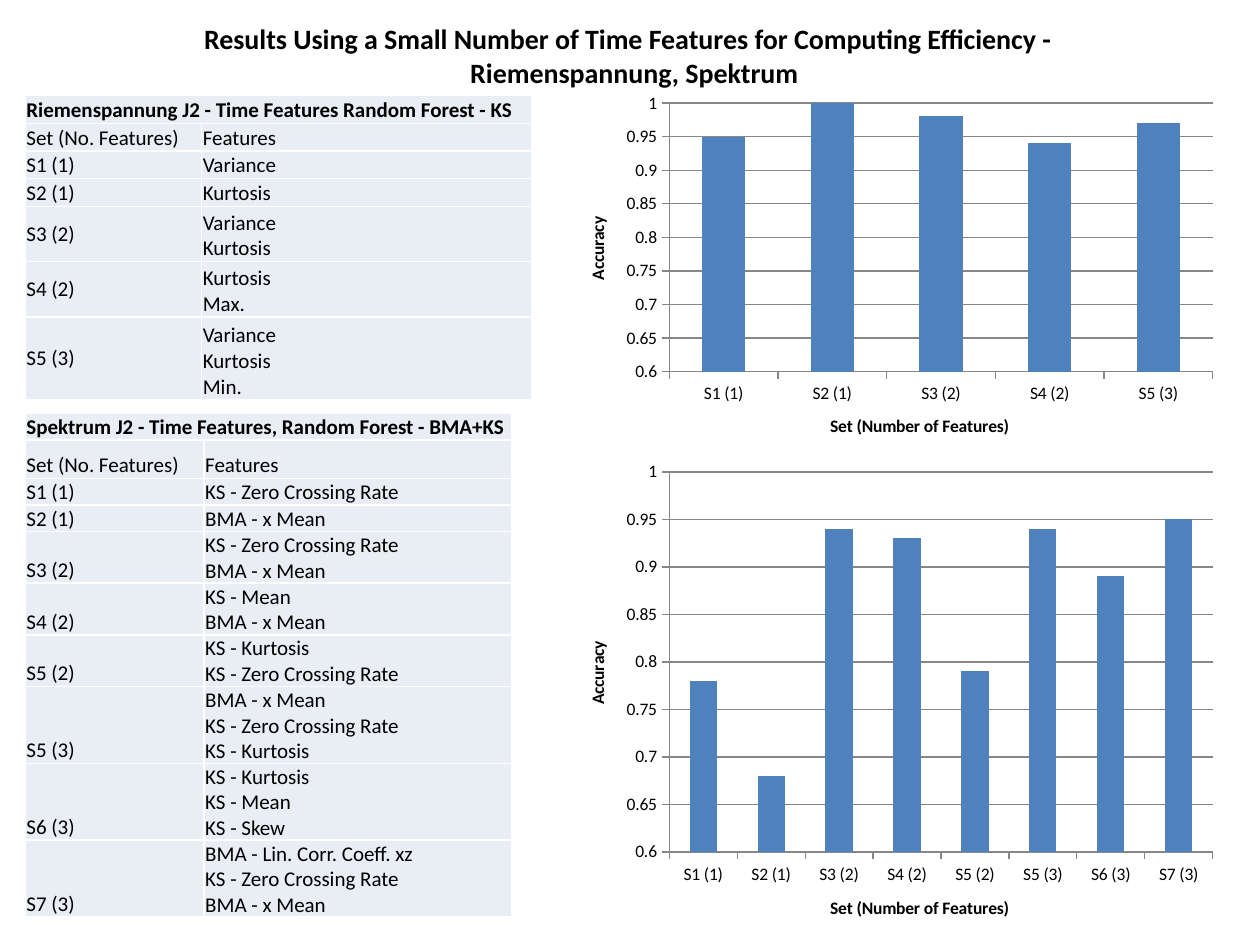
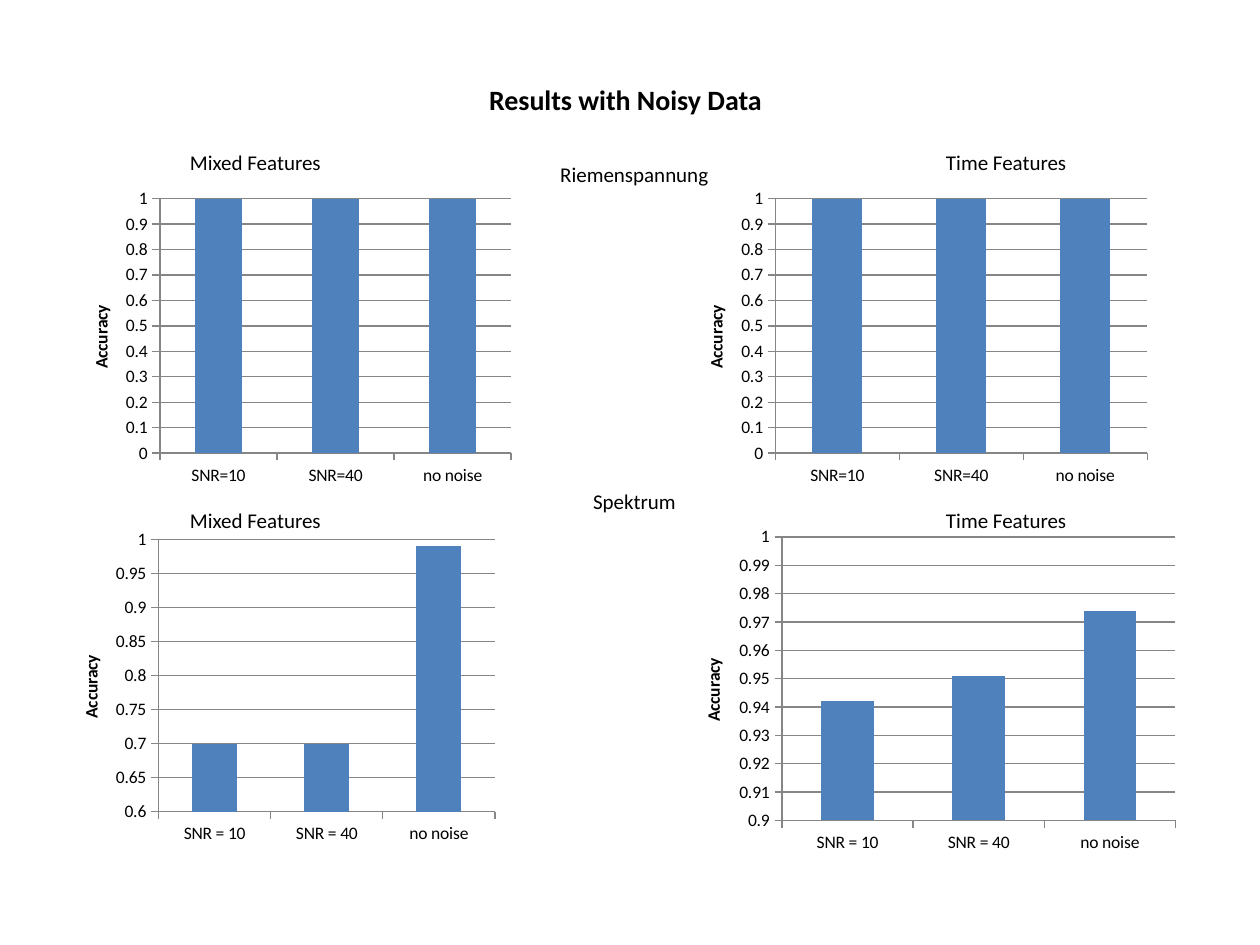
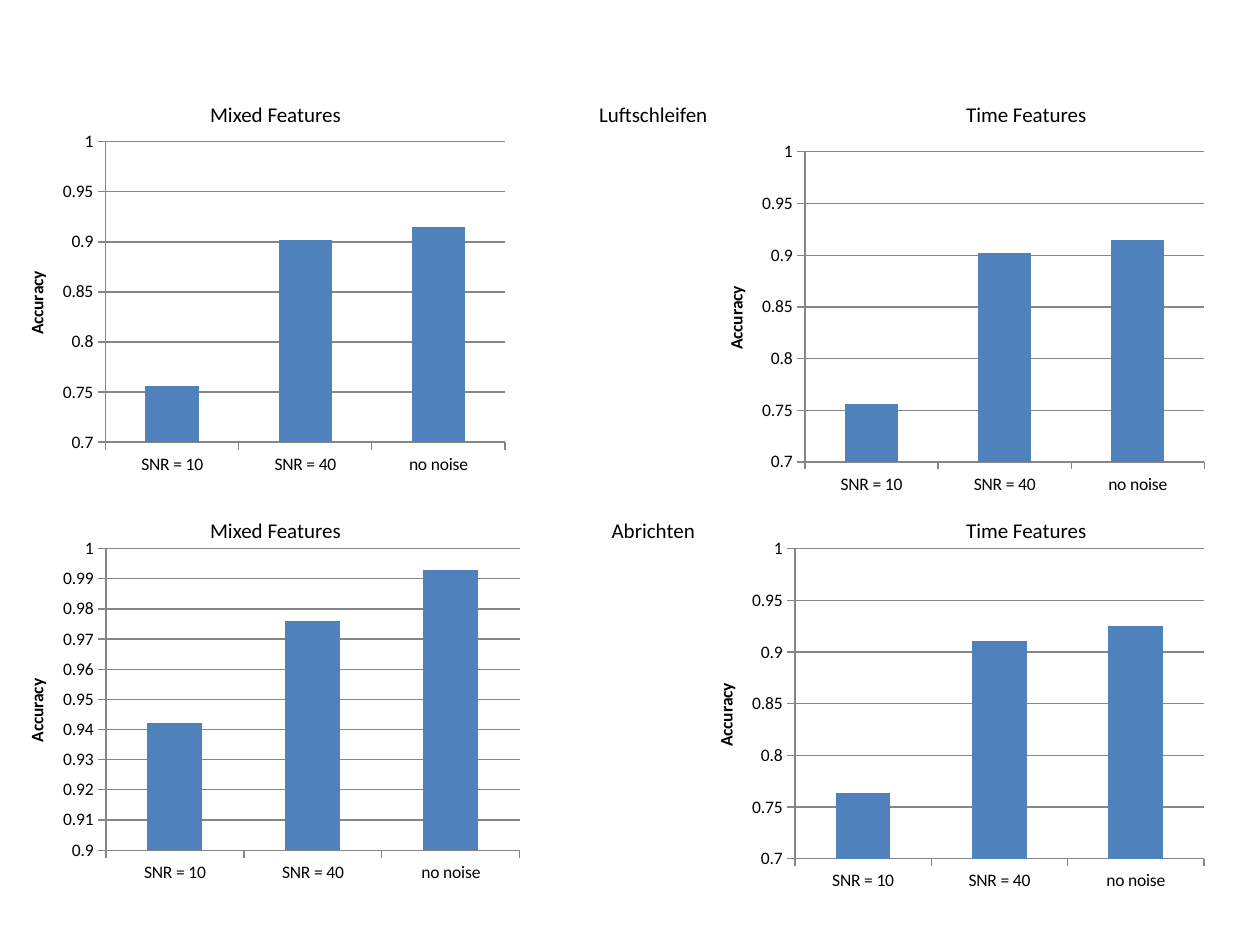
from dataclasses import dataclass
from typing import NamedTuple

import lxml.etree
import pptx
import pptx.chart.data
import pptx.dml.color
import pptx.enum.chart
import pptx.enum.text
import pptx.oxml
import pptx.oxml.ns
import pptx.util

Pt = pptx.util.Pt
RGB = pptx.dml.color.RGBColor
Align = pptx.enum.text.PP_ALIGN
Anchor = pptx.enum.text.MSO_ANCHOR
Tick = pptx.enum.chart.XL_TICK_MARK
qn = pptx.oxml.ns.qn


@dataclass(frozen=True)
class Theme:
    face: str = "Calibri"
    ink: RGB = RGB(0, 0, 0)
    bar: RGB = RGB(0x4F, 0x81, 0xBD)
    rule: RGB = RGB(0x86, 0x86, 0x86)
    cell: RGB = RGB(0xE9, 0xED, 0xF4)
    edge: RGB = RGB(0xFF, 0xFF, 0xFF)
    title: float = 16
    body: float = 12
    axis: float = 10


THEME = Theme()


class Box(NamedTuple):
    left: float
    top: float
    width: float
    height: float

    def points(self) -> list:
        return [Pt(side) for side in self]


@dataclass
class Grid:
    left: float
    top: float
    cols: tuple
    line: float
    head: str
    rows: list
    tall: tuple
    anchor: object


@dataclass
class Plot:
    box: Box
    low: float
    step: float
    cats: list
    vals: list
    base: str = ""


@dataclass
class Band:
    name: str
    width: float
    mid: float
    top: float
    left: float
    row: float


def style(font, size: float, bold: bool = False) -> None:
    font.name = THEME.face
    font.size = Pt(size)
    font.bold = bold
    font.color.rgb = THEME.ink


def add_text(slide, box: Box, text: str, size: float = THEME.body, bold: bool = False,
             align=Align.CENTER, anchor=Anchor.TOP, wrap: bool = True, tab: float = 0) -> None:
    frame = slide.shapes.add_textbox(*box.points()).text_frame
    frame.word_wrap = wrap
    frame.vertical_anchor = anchor
    para = frame.paragraphs[0]
    para.text = text
    para.alignment = align
    if tab:
        stops = lxml.etree.SubElement(para._p.get_or_add_pPr(), qn("a:tabLst"))
        lxml.etree.SubElement(stops, qn("a:tab"), pos=str(Pt(tab)), algn="l")
    style(para.font, size, bold)


def add_title(slide, box: Box, text: str) -> None:
    add_text(slide, box, text, THEME.title, True, anchor=Anchor.MIDDLE)


def add_band(slide, band: Band) -> None:
    add_text(slide, Box(band.mid - band.width / 2, band.top, band.width, 21.6), band.name, wrap=False)
    add_text(slide, Box(band.left, band.row, 520.6, 21.6), "Mixed Features\tTime Features",
             align=Align.LEFT, tab=432)


def fill_cell(cell, text: str, anchor, bold: bool) -> None:
    cell.margin_left = cell.margin_right = cell.margin_top = Pt(0.7)
    cell.margin_bottom = 0
    cell.vertical_anchor = anchor
    para = cell.text_frame.paragraphs[0]
    para.text = text
    style(para.font, THEME.body, bold)
    props = cell._tc.get_or_add_tcPr()
    for side in ("lnL", "lnR", "lnT", "lnB"):
        line = lxml.etree.SubElement(props, qn(f"a:{side}"), w=str(Pt(1)))
        paint = lxml.etree.SubElement(line, qn("a:solidFill"))
        lxml.etree.SubElement(paint, qn("a:srgbClr"), val=str(THEME.edge))
    cell.fill.solid()
    cell.fill.fore_color.rgb = THEME.cell


def add_grid(slide, grid: Grid) -> None:
    rows = [(grid.head, ""), ("Set (No. Features)", "Features")]
    rows += [(name, "\v".join(parts)) for name, parts in grid.rows]
    highs = [n * grid.line for n in grid.tall]
    box = Box(grid.left, grid.top, sum(grid.cols), sum(highs))
    table = slide.shapes.add_table(len(rows), 2, *box.points()).table
    table.first_row = table.horz_banding = False
    for col, width in zip(table.columns, grid.cols):
        col.width = Pt(width)
    for row, high in zip(table.rows, highs):
        row.height = Pt(high)
    table.cell(0, 0).merge(table.cell(0, 1))
    for r, texts in enumerate(rows):
        for c, text in enumerate(texts):
            anchor = grid.anchor if r > 1 and c == 0 else Anchor.BOTTOM
            fill_cell(table.cell(r, c), text, anchor, r == 0)


def set_axis(axis, name: str) -> None:
    axis.major_tick_mark = Tick.OUTSIDE
    axis.minor_tick_mark = Tick.NONE
    axis.format.line.color.rgb = THEME.rule
    axis.has_title = bool(name)
    if name:
        para = axis.axis_title.text_frame.paragraphs[0]
        para.text = name
        style(para.font, THEME.axis, True)


def add_plot(slide, plot: Plot) -> None:
    data = pptx.chart.data.CategoryChartData()
    data.categories = plot.cats
    data.add_series("Series 1", plot.vals)
    kind = pptx.enum.chart.XL_CHART_TYPE.COLUMN_CLUSTERED
    chart = slide.shapes.add_chart(kind, *plot.box.points(), data).chart
    chart.has_title = chart.has_legend = False
    style(chart.font, THEME.axis)
    bars = chart.plots[0]
    bars.gap_width = 150
    bars.vary_by_categories = False
    paint = bars.series[0].format.fill
    paint.solid()
    paint.fore_color.rgb = THEME.bar
    set_axis(chart.category_axis, plot.base)
    axis = chart.value_axis
    set_axis(axis, "Accuracy")
    axis.minimum_scale, axis.maximum_scale, axis.major_unit = plot.low, 1, plot.step
    axis.has_major_gridlines = True
    axis.major_gridlines.format.line.color.rgb = THEME.rule
    axis.tick_labels.number_format = "General"
    axis.tick_labels.number_format_is_linked = False


VAR, KURT = "Variance", "Kurtosis"
ZERO, XMEAN = "KS - Zero Crossing Rate", "BMA - x Mean"
KKURT, KMEAN = "KS - Kurtosis", "KS - Mean"
BASE = "Set (Number of Features)"
TIGHT = ["SNR=10", "SNR=40", "no noise"]
LOOSE = ["SNR = 10", "SNR = 40", "no noise"]

GRIDS = [
    Grid(14.4, 54.7, (100.8, 188.6), 15.8, "Riemenspannung J2 - Time Features Random Forest - KS", [
        ("S1 (1)", [VAR]),
        ("S2 (1)", [KURT]),
        ("S3 (2)", [VAR, KURT]),
        ("S4 (2)", [KURT, "Max."]),
        ("S5 (3)", [VAR, KURT, "Min."]),
    ], (1, 1, 1, 1, 2, 2, 3), Anchor.MIDDLE),
    Grid(14.4, 236.2, (102.2, 175.7), 11.1, "Spektrum J2 - Time Features, Random Forest - BMA+KS", [
        ("S1 (1)", [ZERO]),
        ("S2 (1)", [XMEAN]),
        ("S3 (2)", [ZERO, XMEAN]),
        ("S4 (2)", [KMEAN, XMEAN]),
        ("S5 (2)", [KKURT, ZERO]),
        ("S5 (3)", [XMEAN, ZERO, KKURT]),
        ("S6 (3)", [KKURT, KMEAN, "KS - Skew"]),
        ("S7 (3)", ["BMA - Lin. Corr. Coeff. xz", ZERO, XMEAN]),
    ], (1, 2, 1, 1, 2, 2, 2, 3, 3, 3), Anchor.BOTTOM),
]
SETS = [[name for name, _ in grid.rows] for grid in GRIDS]

SMALL = [
    Plot(Box(320.4, 49, 380.2, 215.3), 0.6, 0.05, SETS[0], [0.95, 1, 0.98, 0.94, 0.97], BASE),
    Plot(Box(320.4, 258.5, 380.2, 281.5), 0.6, 0.05, SETS[1],
         [0.78, 0.68, 0.94, 0.93, 0.79, 0.94, 0.89, 0.95], BASE),
]
NOISY = [
    Plot(Box(36.7, 104.4, 260.6, 176.4), 0, 0.1, TIGHT, [1, 1, 1]),
    Plot(Box(388.1, 104.4, 272.9, 176.4), 0, 0.1, TIGHT, [1, 1, 1]),
    Plot(Box(31, 298.8, 257, 187.2), 0.6, 0.05, LOOSE, [0.7, 0.7, 0.99]),
    Plot(Box(386.6, 297.4, 290.9, 193.7), 0.9, 0.01, LOOSE, [0.942, 0.951, 0.974]),
]
MORE = [
    Plot(Box(0, 71.3, 294.5, 203.8), 0.7, 0.05, LOOSE, [0.756, 0.902, 0.915]),
    Plot(Box(399.6, 77, 294.5, 209.5), 0.7, 0.05, LOOSE, [0.756, 0.902, 0.915]),
    Plot(Box(393.8, 303.8, 300.2, 209.5), 0.7, 0.05, LOOSE, [0.764, 0.911, 0.925]),
    Plot(Box(0, 303.8, 303.1, 204.5), 0.9, 0.01, LOOSE, [0.942, 0.976, 0.993]),
]
NOISY_BANDS = [
    Band("Riemenspannung", 100, 362.5, 88.6, 101.5, 82.1),
    Band("Spektrum", 62, 362.5, 275.8, 101.5, 286.6),
]
MORE_BANDS = [
    Band("Luftschleifen", 77, 373.3, 54.7, 113, 54.7),
    Band("Abrichten", 63, 373.3, 292.3, 113, 292.3),
]


def main() -> None:
    deck = pptx.Presentation()
    deck.slide_width, deck.slide_height = Pt(720), Pt(540)
    blank = deck.slide_layouts[6]
    small, noisy, more = [deck.slides.add_slide(blank) for _ in range(3)]

    add_title(small, Box(36.7, 15.1, 648, 33.1),
              "Results Using a Small Number of Time Features for Computing Efficiency - "
              "\v Riemenspannung, Spektrum")
    add_title(noisy, Box(20.2, 43.2, 674.6, 27.4), "Results with Noisy Data")
    for grid in GRIDS:
        add_grid(small, grid)
    for slide, plots, bands in ((small, SMALL, []), (noisy, NOISY, NOISY_BANDS), (more, MORE, MORE_BANDS)):
        for plot in plots:
            add_plot(slide, plot)
        for band in bands:
            add_band(slide, band)

    deck.save("out.pptx")


if __name__ == "__main__":
    main()
